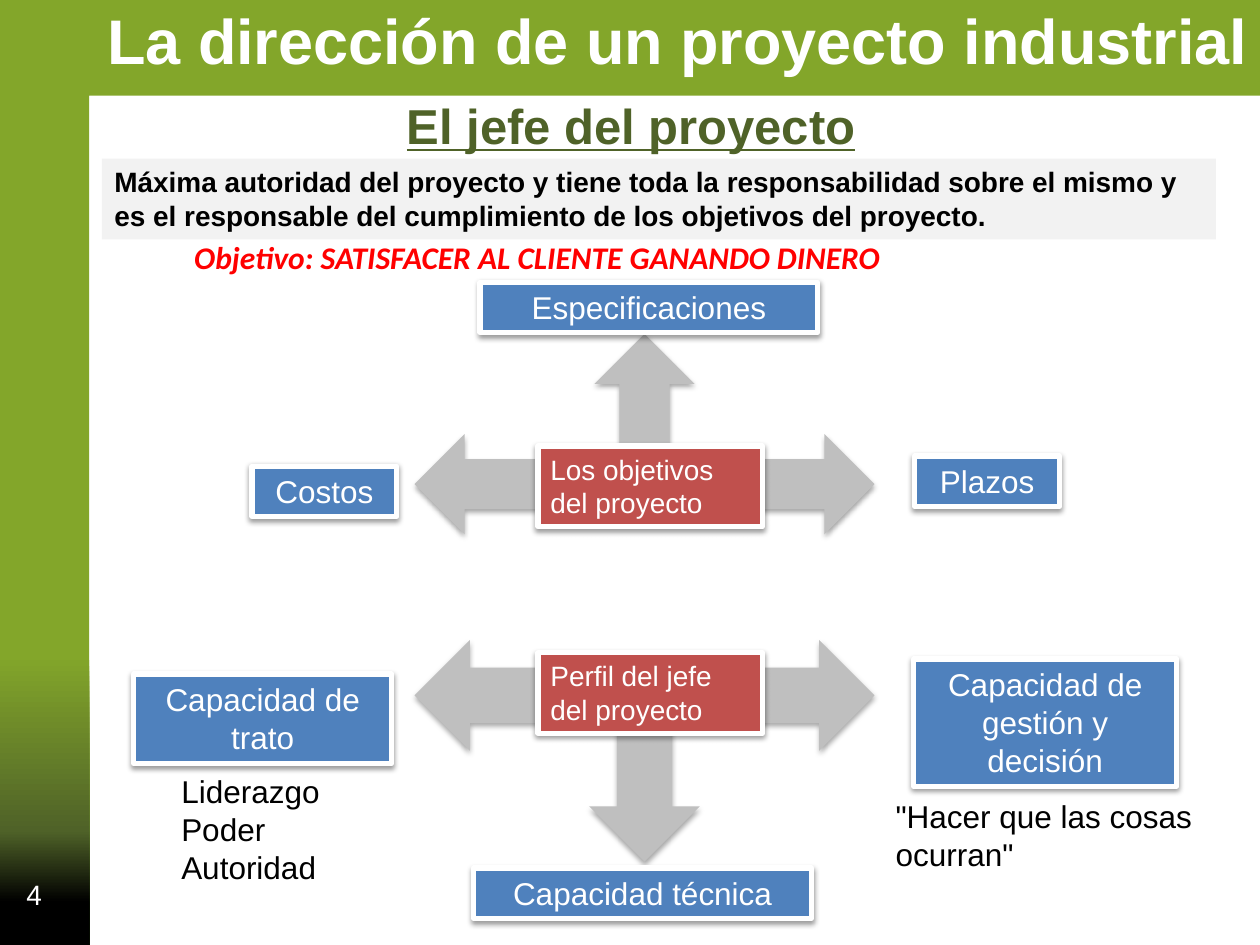
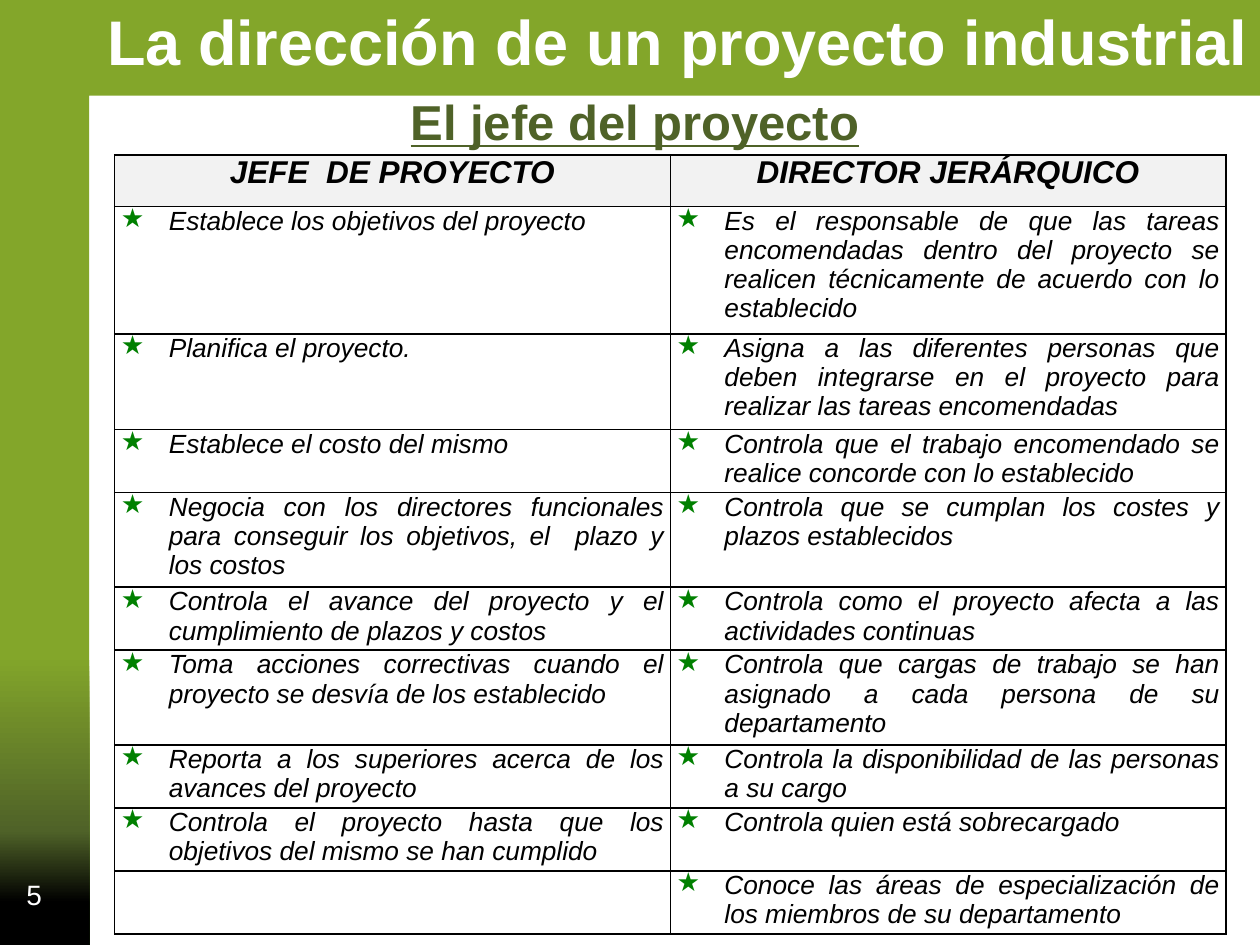
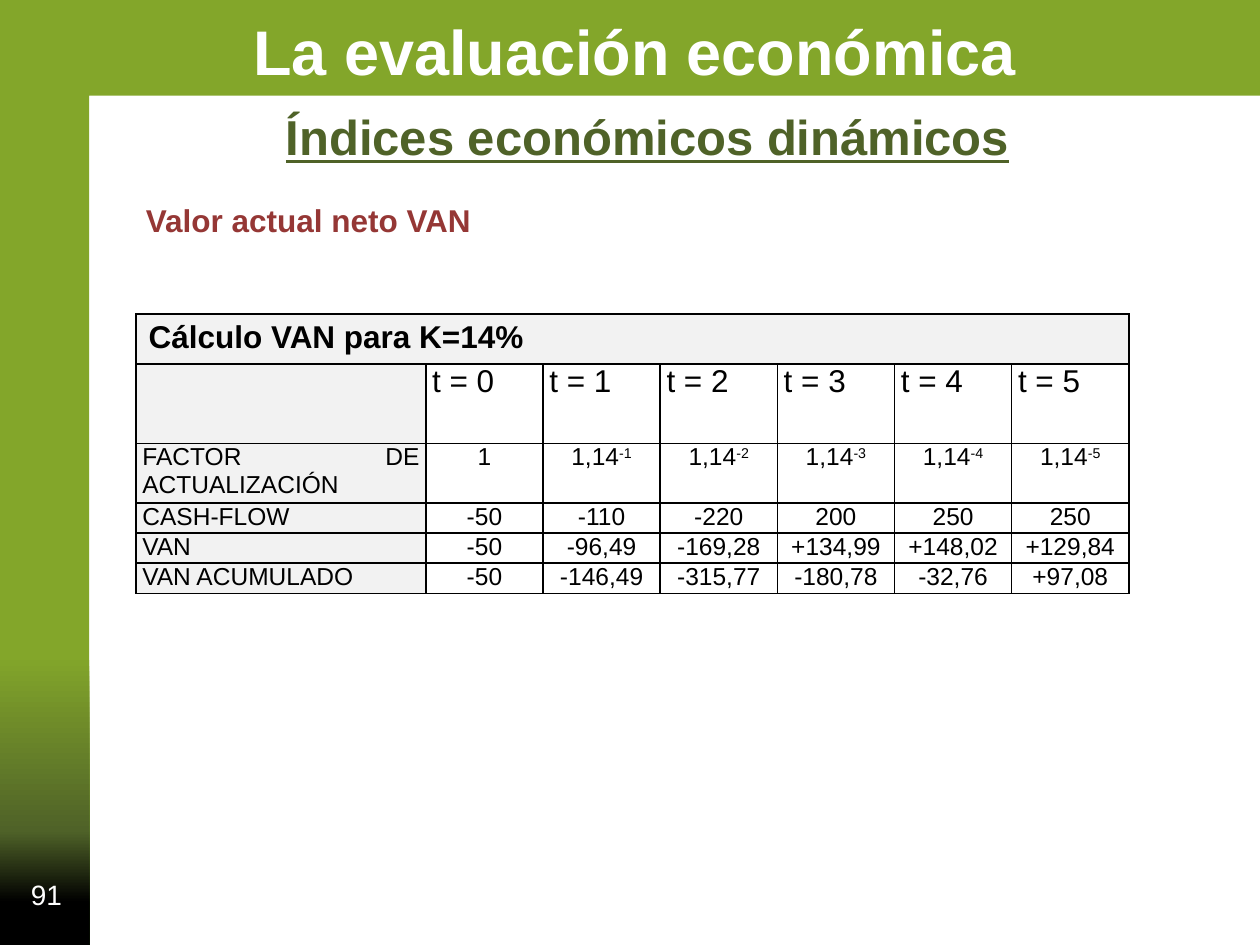
from dataclasses import dataclass, field

from lxml import etree
from pptx import Presentation
from pptx.dml.color import RGBColor
from pptx.enum.shapes import MSO_SHAPE
from pptx.enum.text import MSO_ANCHOR, MSO_AUTO_SIZE, PP_ALIGN
from pptx.oxml import parse_xml
from pptx.oxml.ns import nsdecls, qn
from pptx.util import Inches, Pt

LEFT, RIGHT, CENTER, JUSTIFY = PP_ALIGN.LEFT, PP_ALIGN.RIGHT, PP_ALIGN.CENTER, PP_ALIGN.JUSTIFY
TOP, MIDDLE = MSO_ANCHOR.TOP, MSO_ANCHOR.MIDDLE
GROW = MSO_AUTO_SIZE.SHAPE_TO_FIT_TEXT
RECT, CORNER, ARROW = MSO_SHAPE.RECTANGLE, MSO_SHAPE.CORNER, MSO_SHAPE.LEFT_RIGHT_UP_ARROW

# Shared colours and text styles
BLACK, WHITE, RED = "000000", "FFFFFF", "FF0000"
GREEN, OLIVE, STAR = "83A62A", "4F6228", "008000"
BLUE, BRICK, WINE = "4F81BD", "C0504D", "953735"
GRAY, PALE = "BFBFBF", "F2F2F2"
STOPS = [(0, BLACK), (9, BLACK), (24, OLIVE), (61, GREEN), (100, GREEN)]

BASE = {"name": "Arial", "size": Pt(18), "bold": False, "italic": False, "color": BLACK}
TITLE = {"size": Pt(36), "bold": True, "color": WHITE}
HEAD = {"size": Pt(28), "bold": True, "underline": True, "color": OLIVE}
PAGE = {"size": Pt(16), "color": WHITE}
LABEL = {"color": WHITE}
CORE = {"size": Pt(16), "color": WHITE}
GOAL = {"name": "Calibri", "bold": True, "italic": True, "color": RED}
NOTE = {"size": Pt(16), "bold": True}

Area = tuple[float, float, float, float]


@dataclass
class Item:
    """A text box, or a filled rectangle when fill is given."""
    at: Area
    text: str
    style: dict = field(default_factory=dict)
    align: PP_ALIGN = LEFT
    wrap: bool = True
    fill: str = ""
    framed: bool = False


@dataclass
class Cell:
    text: str
    style: dict = field(default_factory=dict)
    align: PP_ALIGN = JUSTIFY
    fill: str = ""
    starred: bool = False
    inset: tuple[float, float] = (0.05, 0)


# Helpers
def tint(code: str) -> RGBColor:
    return RGBColor.from_string(code)


def place(at: Area) -> list:
    return [Inches(n) for n in at]


def add_run(para, text: str, style: dict):
    run = para.add_run()
    run.text = text
    for name, value in (BASE | style).items():
        if name == "color":
            run.font.color.rgb = tint(value)
        else:
            setattr(run.font, name, value)
    return run


def write(frame, text: str, style: dict, align: PP_ALIGN) -> None:
    """Write one paragraph a line; a caret starts a superscript."""
    for num, line in enumerate(text.split("\n")):
        para = frame.add_paragraph() if num else frame.paragraphs[0]
        para.alignment = align
        main, _, power = line.partition("^")
        if main:
            add_run(para, main, style)
        if power:
            raised = add_run(para, power, style)
            raised.font._element.set("baseline", "30000")


def set_frame(frame, wrap: bool, anchor: MSO_ANCHOR) -> None:
    values = {"word_wrap": wrap, "auto_size": GROW, "vertical_anchor": anchor}
    for name, value in values.items():
        setattr(frame, name, value)


def add_shade(shape, alpha: int, drop: float) -> None:
    shade = parse_xml(
        f'<a:outerShdw {nsdecls("a")} blurRad="{Pt(3.1)}" dist="{Pt(drop)}" dir="5400000" '
        f'rotWithShape="0"><a:srgbClr val="{BLACK}"><a:alpha val="{alpha * 1000}"/>'
        '</a:srgbClr></a:outerShdw>')
    shape._element.spPr.find(qn("a:effectLst")).append(shade)


def add_form(slide, kind: MSO_SHAPE, at: Area, fill: str):
    shape = slide.shapes.add_shape(kind, *place(at))
    shape.shadow.inherit = False
    shape.fill.solid()
    shape.fill.fore_color.rgb = tint(fill)
    shape.line.fill.background()
    return shape


def add_item(slide, item: Item) -> None:
    if item.fill:
        shape = add_form(slide, RECT, item.at, item.fill)
    else:
        shape = slide.shapes.add_textbox(*place(item.at))
    if item.framed:
        shape.line.color.rgb = tint(WHITE)
        shape.line.width = Pt(3)
        add_shade(shape, 38, 1.6)
    set_frame(shape.text_frame, item.wrap, TOP)
    write(shape.text_frame, item.text, item.style, item.align)


def add_arrow(slide, at: Area, flipped: bool) -> None:
    arrow = add_form(slide, ARROW, at, GRAY)
    add_shade(arrow, 35, 1.8)
    if flipped:
        arrow._element.spPr.xfrm.set("flipV", "1")


# Frame shared by all slides
def add_band(slide) -> None:
    band = add_form(slide, CORNER, (1.21, -1.29, 7.54, 10.04), GREEN)
    band.rotation = 90
    band.adjustments[0], band.adjustments[1] = 0.099, 0.106
    stops = "".join(f'<a:gs pos="{pos * 1000}"><a:srgbClr val="{code}"/></a:gs>'
                    for pos, code in STOPS)
    blend = parse_xml(
        f'<a:gradFill {nsdecls("a")} rotWithShape="0"><a:gsLst>{stops}</a:gsLst>'
        '<a:path path="rect"><a:fillToRect t="100000" r="100000"/></a:path></a:gradFill>')
    props = band._element.spPr
    props.replace(props.find(qn("a:solidFill")), blend)
    slide.shapes._spTree.insert(2, band._element)


def add_slide(deck, title: str, area: Area, page: str, width: float, head: Item):
    slide = deck.slides.add_slide(deck.slide_layouts[5])
    add_band(slide)
    top = slide.shapes.title
    top.left, top.top, top.width, top.height = place(area)
    set_frame(top.text_frame, False, TOP)
    write(top.text_frame, title, TITLE, LEFT)
    mark = slide.shapes.add_textbox(*place((0.02, 6.9, width, 0.4)))
    mark.text_frame.word_wrap = True
    mark.text_frame.vertical_anchor = MIDDLE
    write(mark.text_frame, page, PAGE, RIGHT)
    add_item(slide, head)
    return slide


# Tables
def add_star(para) -> None:
    props = para._p.get_or_add_pPr()
    props.set("marL", str(Inches(0.38)))
    props.set("indent", str(-Inches(0.38)))
    color = etree.SubElement(props, qn("a:buClr"))
    etree.SubElement(color, qn("a:srgbClr"), val=STAR)
    etree.SubElement(props, qn("a:buChar"), char="★")
    tabs = etree.SubElement(props, qn("a:tabLst"))
    etree.SubElement(tabs, qn("a:tab"), pos=str(Inches(0.5)), algn="l")


def add_edges(box) -> None:
    props = box._tc.get_or_add_tcPr()
    for side in ("lnL", "lnR", "lnT", "lnB"):
        edge = etree.SubElement(props, qn(f"a:{side}"), w=str(Pt(1)))
        solid = etree.SubElement(edge, qn("a:solidFill"))
        etree.SubElement(solid, qn("a:srgbClr"), val=BLACK)


def fill_cell(box, cell: Cell) -> None:
    side, edge = map(Inches, cell.inset)
    box.margin_left = box.margin_right = side
    box.margin_top = box.margin_bottom = edge
    add_edges(box)
    if cell.fill:
        box.fill.solid()
        box.fill.fore_color.rgb = tint(cell.fill)
    else:
        box.fill.background()
    if cell.starred and cell.text:
        add_star(box.text_frame.paragraphs[0])
    write(box.text_frame, cell.text, cell.style, cell.align)


def add_grid(slide, spot: tuple[float, float], cols: list[float], rows: list[float],
             cells: list[list[Cell]]):
    area = (*spot, sum(cols), sum(rows))
    table = slide.shapes.add_table(len(rows), len(cols), *place(area)).table
    table.first_row = table.horz_banding = False
    for col, width in zip(table.columns, cols):
        col.width = Inches(width)
    for row, height, line in zip(table.rows, rows, cells):
        row.height = Inches(height)
        for box, cell in zip(row.cells, line):
            fill_cell(box, cell)
    return table


# Slide content
PROJECT = "La dirección de un proyecto industrial"
CHIEF = "El jefe del proyecto"

ARROWS = [((3.29, 2.65, 3.65, 1.59), False), ((3.29, 5.08, 3.65, 1.76), True)]
LABELS = [
    ((7.26, 3.62, 1.15, 0.4), "Plazos"),
    ((2, 3.7, 1.15, 0.4), "Costos"),
    ((3.81, 2.24, 2.68, 0.4), "Especificaciones"),
    ((1.06, 5.35, 2.05, 0.71), "Capacidad de trato"),
    ((7.25, 5.23, 2.09, 1.01), "Capacidad de gestión y decisión"),
    ((3.76, 6.89, 2.68, 0.4), "Capacidad técnica"),
]
CORES = [
    ((4.27, 3.54, 1.78, 0.64), "Los objetivos del proyecto"),
    ((4.27, 5.18, 1.78, 0.64), "Perfil del jefe del proyecto"),
]
TEXTS = [
    Item((1.34, 6.08, 1.31, 1.01), "Liderazgo\nPoder\nAutoridad", wrap=False),
    Item((1.41, 1.84, 5.71, 0.4), "Objetivo: SATISFACER AL CLIENTE GANANDO DINERO",
         GOAL, CENTER, wrap=False),
    Item((0.81, 1.26, 8.84, 0.64),
         "Máxima autoridad del proyecto y tiene toda la responsabilidad sobre el mismo y "
         "es el responsable del cumplimiento de los objetivos del proyecto.",
         NOTE, fill=PALE),
    Item((7.01, 6.28, 2.64, 0.71), '"Hacer que las cosas ocurran"'),
]

ROLES = ["JEFE  DE PROYECTO", "DIRECTOR JERÁRQUICO"]
DUTIES = [
    ("Establece los objetivos del proyecto",
     "Es el responsable de que las tareas encomendadas dentro del proyecto se realicen "
     "técnicamente de acuerdo con lo establecido"),
    ("Planifica el proyecto.",
     "Asigna a las diferentes personas que deben integrarse en el proyecto para realizar "
     "las tareas encomendadas"),
    ("Establece el costo del mismo",
     "Controla que el trabajo encomendado se realice concorde con lo establecido"),
    ("Negocia con los directores funcionales para conseguir los objetivos, el  plazo y los costos",
     "Controla que se cumplan los costes y plazos establecidos"),
    ("Controla el avance del proyecto y el cumplimiento de plazos y costos",
     "Controla como el proyecto afecta a las actividades continuas"),
    ("Toma acciones correctivas cuando el proyecto se desvía de los establecido",
     "Controla que cargas de trabajo se han asignado a cada persona de su departamento"),
    ("Reporta a los superiores acerca de los avances del proyecto",
     "Controla la disponibilidad de las personas a su cargo"),
    ("Controla el proyecto hasta que los objetivos del mismo se han cumplido",
     "Controla quien está sobrecargado"),
    ("", "Conoce las áreas de especialización de los miembros de su departamento"),
]

VALUES = [
    ("FACTOR DE ACTUALIZACIÓN", "1", *(f"1,14^-{year}" for year in range(1, 6))),
    ("CASH-FLOW", "-50", "-110", "-220", "200", "250", "250"),
    ("VAN", "-50", "-96,49", "-169,28", "+134,99", "+148,02", "+129,84"),
    ("VAN ACUMULADO", "-50", "-146,49", "-315,77", "-180,78", "-32,76", "+97,08"),
]


# Slides
def draw_chief(deck) -> None:
    slide = add_slide(deck, PROJECT, (0.75, -0.04, 9.35, 0.71), "4", 0.41,
                      Item((3.13, 0.71, 3.81, 0.57), CHIEF, HEAD, wrap=False))
    for area, flipped in ARROWS:
        add_arrow(slide, area, flipped)
    for area, text in LABELS:
        add_item(slide, Item(area, text, LABEL, CENTER, fill=BLUE, framed=True))
    for area, text in CORES:
        add_item(slide, Item(area, text, CORE, fill=BRICK, framed=True))
    for item in TEXTS:
        add_item(slide, item)


def draw_roles(deck) -> None:
    slide = add_slide(deck, PROJECT, (0.75, -0.03, 9.35, 0.71), "5", 0.41,
                      Item((3.16, 0.68, 3.81, 0.57), CHIEF, HEAD, wrap=False))
    heads = [Cell(text, {"bold": True, "italic": True}, CENTER, PALE) for text in ROLES]
    style = {"size": Pt(15), "italic": True}
    lines = [[Cell(text, style, starred=True) for text in pair] for pair in DUTIES]
    rows = [0.41, 1.01, 0.76, 0.5, 0.75, 0.5, 0.75, 0.5, 0.5, 0.5]
    add_grid(slide, (0.91, 1.23), [4.41] * 2, rows, [heads, *lines])


def draw_worth(deck) -> None:
    slide = add_slide(deck, "La evaluación económica", (1.91, 0.05, 6.32, 0.71), "91", 0.57,
                      Item((2.17, 0.8, 6.01, 0.57), "Índices económicos dinámicos",
                           HEAD, wrap=False))
    small = {"size": Pt(14)}
    top = [Cell("Cálculo VAN para K=14%", {"bold": True}, LEFT, PALE, inset=(0.1, 0.05))]
    top += [Cell("", fill=PALE)] * 6
    years = [Cell("", fill=PALE), *(Cell(f"t = {year}") for year in range(6))]
    lines = [[Cell(name, small, fill=PALE), *(Cell(text, small, CENTER) for text in rest)]
             for name, *rest in VALUES]
    table = add_grid(slide, (1.08, 2.49), [2.3] + [0.93] * 6,
                     [0.4, 0.63, 0.47, 0.24, 0.24, 0.24], [top, years, *lines])
    table.cell(0, 0).merge(table.cell(0, 6))
    add_item(slide, Item((1.06, 1.55, 2.81, 0.4), "Valor actual neto VAN",
                         {"bold": True, "color": WINE}, wrap=False))


def main() -> None:
    deck = Presentation()
    deck.slide_width, deck.slide_height = Inches(10), Inches(7.5)
    for draw in (draw_chief, draw_roles, draw_worth):
        draw(deck)
    deck.save("out.pptx")


if __name__ == "__main__":
    main()
